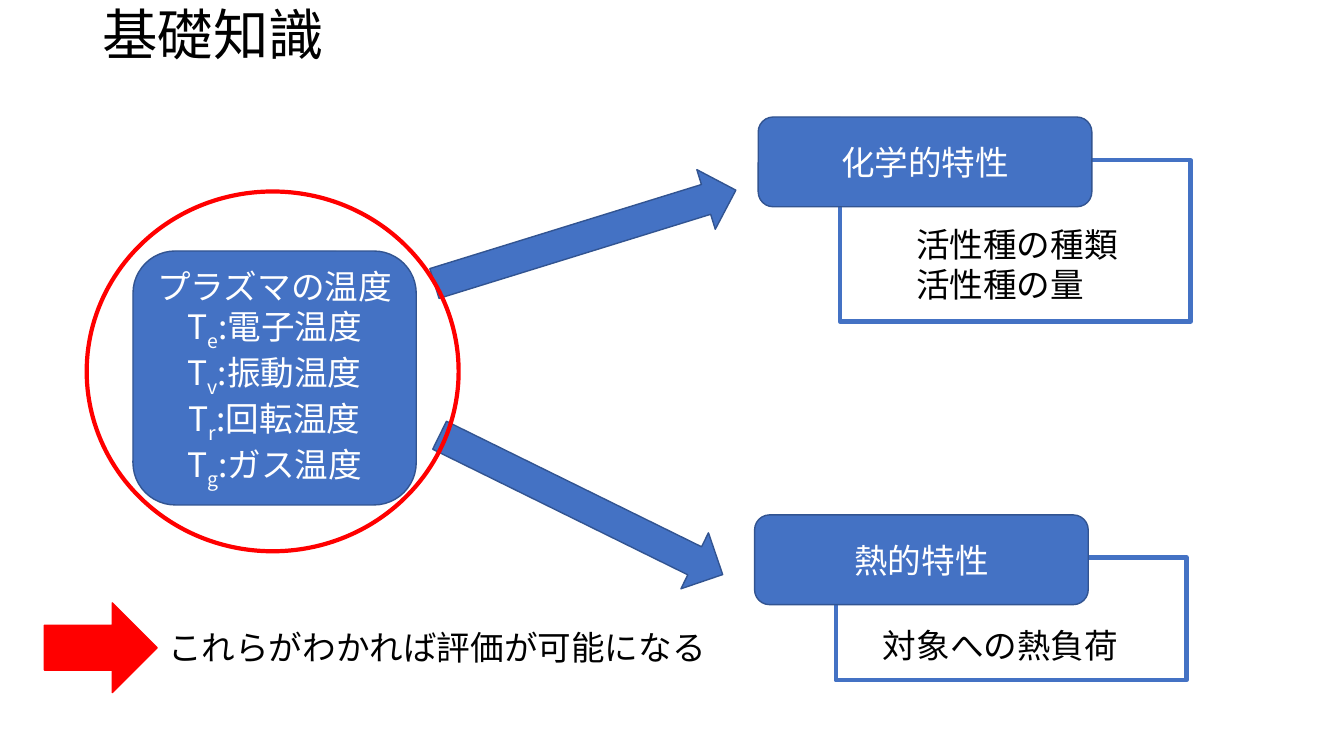
from dataclasses import dataclass

import pptx
import pptx.dml.color
import pptx.enum.shapes
import pptx.enum.text
import pptx.oxml.ns
import pptx.util
from lxml import etree

Pt = pptx.util.Pt
SHAPE = pptx.enum.shapes.MSO_SHAPE
ANCHOR = pptx.enum.text.MSO_ANCHOR
ALIGN = pptx.enum.text.PP_ALIGN

FONT = "Noto Sans CJK JP"
COLORS = {"blue": "4472C4", "edge": "325491", "red": "FF0000",
          "black": "000000", "white": "FFFFFF"}
BOX_W, BOX_H = 238.3, 64.1
ARROW_W, ARROW_H = 225.4, 44.6

# A run is its text and its baseline shift in percent.
Run = tuple[str, int]
Line = list[Run]


@dataclass
class Figure:
    kind: int
    left: float
    top: float
    width: float
    height: float
    fill: str | None = None
    line: str = "edge"
    weight: float = 1
    rotation: float = 0
    lines: tuple[Line, ...] = ()


@dataclass
class Label:
    left: float
    top: float
    width: float
    height: float
    lines: tuple[Line, ...]
    size: float = 24
    spacing: float = 1
    anchor: int = ANCHOR.TOP


def plain(*texts: str) -> tuple[Line, ...]:
    return tuple([(text, 0)] for text in texts)


def temperature(symbol: str, name: str) -> Line:
    return [("T", 0), (symbol, -25), (f":{name}温度", 0)]


PLASMA = plain("プラズマの温度") + tuple(
    temperature(symbol, name) for symbol, name in
    (("e", "電子"), ("v", "振動"), ("r", "回転"), ("g", "ガス")))

FIGURES = [
    Figure(SHAPE.RECTANGLE, 596.9, 398.2, 250.6, 87.8, line="blue", weight=3),
    Figure(SHAPE.RECTANGLE, 599.8, 114.5, 250.6, 115.2, line="blue", weight=3),
    Figure(SHAPE.ROUNDED_RECTANGLE, 95, 179.3, 202.3, 181.4, "blue",
           lines=PLASMA),
    Figure(SHAPE.ROUNDED_RECTANGLE, 541.6, 83.6, BOX_W, BOX_H, "blue",
           lines=plain("化学的特性")),
    Figure(SHAPE.ROUNDED_RECTANGLE, 539, 367.8, BOX_W, BOX_H, "blue",
           lines=plain("熱的特性")),
    Figure(SHAPE.RIGHT_ARROW, 305.3, 146.9, ARROW_W, ARROW_H, "blue",
           rotation=342.8),
    Figure(SHAPE.RIGHT_ARROW, 302.4, 338.4, ARROW_W, ARROW_H, "blue",
           rotation=26.2),
    Figure(SHAPE.OVAL, 61.9, 136.8, 265.7, 257, line="red", weight=3),
    Figure(SHAPE.RIGHT_ARROW, 31.7, 430.6, 80.6, 64.1, "red", line="red"),
]

LABELS = [
    Label(66.2, 0, 828, 53.3, plain("基礎知識"), 39.6, 0.9, ANCHOR.MIDDLE),
    Label(647.3, 156.2, 202.3, 65.5, plain("活性種の種類", "活性種の量")),
    Label(623.5, 442.8, 202.3, 36, plain("対象への熱負荷")),
    Label(113, 444.2, 417.6, 36, plain("これらがわかれば評価が可能になる")),
]


def rgb(name: str) -> pptx.dml.color.RGBColor:
    return pptx.dml.color.RGBColor.from_string(COLORS[name])


def write(tf, lines: tuple[Line, ...], color: str, size: float = 24,
          **paragraph_format) -> None:
    """Fill a text frame, one paragraph a line."""
    font_format = {"name": FONT, "size": Pt(size)}
    for i, line in enumerate(lines):
        p = tf.paragraphs[0] if i == 0 else tf.add_paragraph()
        for key, value in paragraph_format.items():
            setattr(p, key, value)
        for text, baseline in line:
            r = p.add_run()
            r.text = text
            for key, value in font_format.items():
                setattr(r.font, key, value)
            r.font.color.rgb = rgb(color)
            rpr = r._r.get_or_add_rPr()
            etree.SubElement(rpr, pptx.oxml.ns.qn("a:ea"), typeface=FONT)
            if baseline:
                rpr.set("baseline", str(baseline * 1000))


def draw_figure(s, figure: Figure) -> None:
    sp = s.shapes.add_shape(figure.kind, Pt(figure.left), Pt(figure.top),
                            Pt(figure.width), Pt(figure.height))
    sp.shadow.inherit = False
    sp.rotation = figure.rotation
    if figure.fill:
        sp.fill.solid()
        sp.fill.fore_color.rgb = rgb(figure.fill)
    else:
        sp.fill.background()
    sp.line.color.rgb = rgb(figure.line)
    sp.line.width = Pt(figure.weight)
    tf = sp.text_frame
    tf.vertical_anchor = ANCHOR.MIDDLE
    write(tf, figure.lines, "white", alignment=ALIGN.CENTER)


def draw_label(s, label: Label) -> None:
    sp = s.shapes.add_textbox(Pt(label.left), Pt(label.top),
                              Pt(label.width), Pt(label.height))
    tf = sp.text_frame
    for key, value in {"word_wrap": True,
                       "vertical_anchor": label.anchor}.items():
        setattr(tf, key, value)
    write(tf, label.lines, "black", label.size, line_spacing=label.spacing)


def main() -> None:
    prs = pptx.Presentation()
    prs.slide_width, prs.slide_height = Pt(960), Pt(540)
    s = prs.slides.add_slide(prs.slide_layouts[6])
    for figure in FIGURES:
        draw_figure(s, figure)
    for label in LABELS:
        draw_label(s, label)
    prs.save("out.pptx")


if __name__ == "__main__":
    main()
